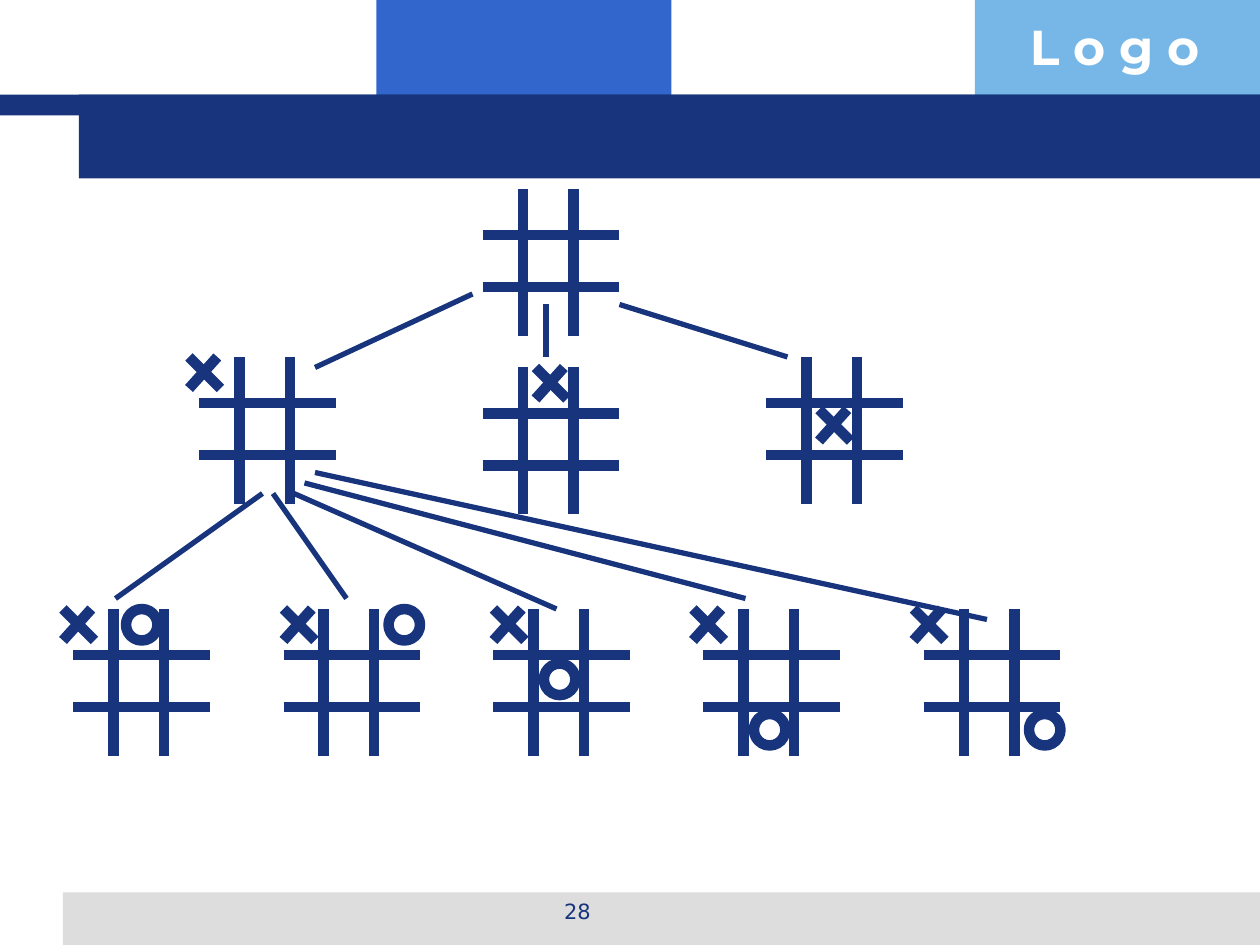
from lxml import etree
from pptx import Presentation
from pptx.dml.color import RGBColor
from pptx.enum.shapes import MSO_CONNECTOR, MSO_SHAPE
from pptx.enum.text import PP_ALIGN
from pptx.oxml.ns import qn
from pptx.util import Inches, Pt

RECT, OVAL = MSO_SHAPE.RECTANGLE, MSO_SHAPE.OVAL
STRAIGHT = MSO_CONNECTOR.STRAIGHT
LEFT, CENTER = PP_ALIGN.LEFT, PP_ALIGN.CENTER

WIDTH, HEIGHT = 10, 7.5
COLS, ROWS = 120, 90
NAVY, BLUE, SKY, GRAY, WHITE = "17347D", "3366CC", "77B7E7", "DDDDDD", "FFFFFF"
HEAVY, THIN = 6, 3
BOARD_W, BOARD_H, MARK = 13, 14, 3
BAR_ROWS, BAR_COLS = (4.4, 9.33), (3.8, 8.6)

BANDS = [
    (35.85, 0, 28.1, 11, BLUE),
    (92.85, 0, 27.15, 11, SKY),
    (6, 85, 114, 5, GRAY),
    (0, 9, 120, 2, NAVY),
    (7.5, 9, 112.5, 8, NAVY),
]
TOP_BOARDS = [(46, 18), (19, 34), (46, 35), (73, 34)]
REPLY_BOARDS = [(c, 58) for c in (7, 27, 47, 67, 88)]
CROSSES = [(18, 34), (51, 35), (78, 39)] + [(c, 58) for c in (6, 27, 47, 66, 87)]
NOUGHTS = [(12, 58), (37, 58), (51.8, 63.2), (71.8, 68), (98, 68)]
BRANCHES = [
    (45, 28, 30, 35),
    (52, 29, 52, 34),
    (59, 29, 75, 34),
    (25, 47, 11, 57),
    (26, 47, 33, 57),
    (28, 47, 53, 58),
    (29, 46, 71, 57),
    (30, 45, 94, 59),
]
LOGO_FONT = {"name": "Montserrat", "size": Pt(28), "bold": True}
NUMBER_FONT = {"name": "DejaVu Sans", "size": Pt(12)}


def rgb(value):
    return RGBColor.from_string(value)


class Deck:
    def __init__(self):
        self.prs = Presentation()
        self.prs.slide_width = Inches(WIDTH)
        self.prs.slide_height = Inches(HEIGHT)
        self.s = self.prs.slides.add_slide(self.prs.slide_layouts[6])
        self.ink = rgb(NAVY)

    def x(self, col):
        return Inches(WIDTH * col / COLS)

    def y(self, row):
        return Inches(HEIGHT * row / ROWS)

    def frame(self, col, row, w, h):
        return self.x(col), self.y(row), self.x(w), self.y(h)

    def band(self, col, row, w, h, color):
        sp = self.s.shapes.add_shape(RECT, *self.frame(col, row, w, h))
        sp.shadow.inherit = False
        sp.fill.solid()
        sp.fill.fore_color.rgb = rgb(color)
        sp.line.fill.background()

    def text(self, text, col, row, w, h, color, font, align):
        sp = self.s.shapes.add_textbox(*self.frame(col, row, w, h))
        tf = sp.text_frame
        tf.word_wrap = True
        p = tf.paragraphs[0]
        p.alignment = align
        r = p.add_run()
        r.text = text
        for name, value in font.items():
            setattr(r.font, name, value)
        r.font.color.rgb = rgb(color)

    def line(self, col1, row1, col2, row2, width=THIN, parent=None):
        shapes = (parent or self.s).shapes
        sp = shapes.add_connector(
            STRAIGHT, self.x(col1), self.y(row1), self.x(col2), self.y(row2))
        sp.line.color.rgb = self.ink
        sp.line.width = Pt(width)
        etree.SubElement(sp._element.spPr, qn("a:effectLst"))

    def board(self, col, row):
        group = self.s.shapes.add_group_shape()
        for dy in BAR_ROWS:
            self.line(col, row + dy, col + BOARD_W, row + dy, HEAVY, group)
        for dx in BAR_COLS:
            self.line(col + dx, row, col + dx, row + BOARD_H, HEAVY, group)

    def cross(self, col, row):
        group = self.s.shapes.add_group_shape()
        self.line(col, row, col + MARK, row + MARK, HEAVY, group)
        self.line(col + 0.9 * MARK, row, col, row + MARK, HEAVY, group)

    def nought(self, col, row):
        sp = self.s.shapes.add_shape(OVAL, *self.frame(col, row, MARK, MARK))
        sp.shadow.inherit = False
        sp.fill.background()
        sp.line.color.rgb = self.ink
        sp.line.width = Pt(HEAVY)


def main():
    deck = Deck()
    for band in BANDS:
        deck.band(*band)
    deck.text("L o g o", 96.9, 1, 23.1, 6.8, WHITE, LOGO_FONT, LEFT)
    deck.text("28", 41, 85, 28, 4.2, NAVY, NUMBER_FONT, CENTER)
    for spot in TOP_BOARDS + REPLY_BOARDS:
        deck.board(*spot)
    for spot in CROSSES:
        deck.cross(*spot)
    for spot in NOUGHTS:
        deck.nought(*spot)
    for branch in BRANCHES:
        deck.line(*branch)
    deck.prs.save("out.pptx")


if __name__ == "__main__":
    main()
